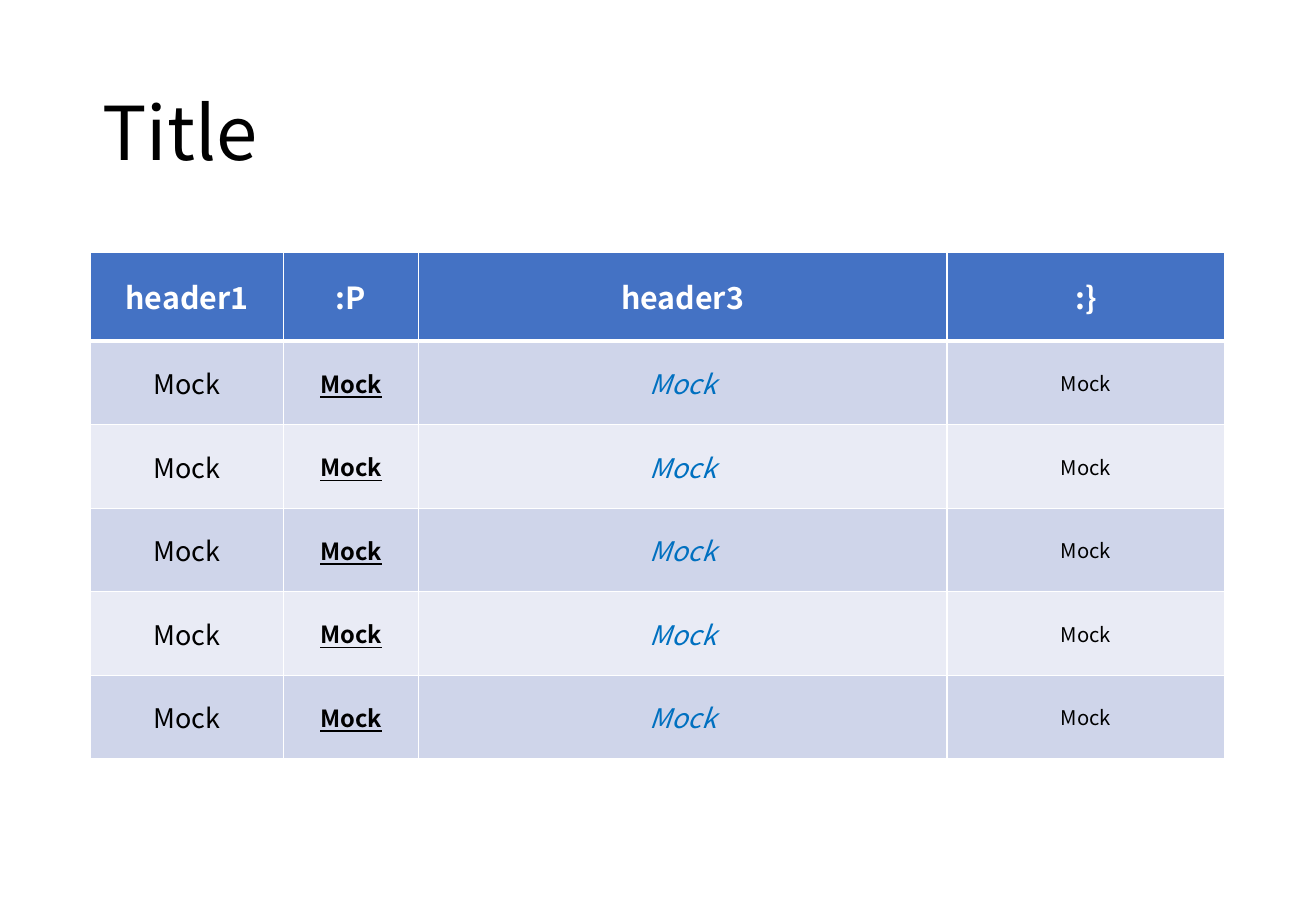
from lxml.etree import SubElement as Sub
from pptx import Presentation as Deck
from pptx.dml.color import RGBColor as Rgb
from pptx.enum.text import MSO_ANCHOR as Anchor, PP_ALIGN as Align
from pptx.oxml.ns import qn
from pptx.util import Pt

FACE = "Noto Sans CJK KR"
WIDTHS = [114.5, 79.9, 313.2, 164.9]
HEADS = ["header1", ":P", "header3", ":}"]
HEAD = {"size": Pt(18), "bold": True, "color": "FFFFFF"}
LOOKS = [
    {"size": Pt(16)},
    {"size": Pt(14), "bold": True, "underline": True},
    {"size": Pt(16), "italic": True, "color": "0070C0"},
    {"size": Pt(12)},
]
BANDS = ["CFD5EA", "E9EBF5"]
COUNT = 5


def paint(item, tint):
    """Give a font colour or a fill colour its hex value."""
    item.rgb = Rgb.from_string(tint)


def write(frame, text, look, align):
    """Put one styled line of text in a frame."""
    para = frame.paragraphs[0]
    para.alignment = align
    run = para.add_run()
    run.text = text
    base = {"name": FACE, "bold": False, "italic": False, "color": "000000"}
    for key, value in (base | look).items():
        if key == "color":
            paint(run.font.color, value)
        else:
            setattr(run.font, key, value)
    return para


def edge(cell, sides):
    """Draw white cell borders with the given widths in points."""
    props = cell._tc.get_or_add_tcPr()
    for side, width in sides.items():
        line = Sub(props, qn(f"a:ln{side}"), w=str(Pt(width)))
        fill = Sub(line, qn("a:solidFill"))
        Sub(fill, qn("a:srgbClr"), val="FFFFFF")


def title(slide, box, text):
    """Place the slide title in its box."""
    frame = slide.shapes.add_textbox(*map(Pt, box)).text_frame
    frame.word_wrap = True
    frame.vertical_anchor = Anchor.MIDDLE
    para = write(frame, text, {"size": Pt(44)}, Align.LEFT)
    para.line_spacing = 0.9


def grid(slide, box, top):
    """Place the table in its box, with a header row of height top."""
    shape = slide.shapes.add_table(COUNT + 1, len(HEADS), *map(Pt, box))
    table = shape.table
    for col, width in zip(table.columns, WIDTHS):
        col.width = Pt(width)
    for r, row in enumerate(table.rows):
        row.height = Pt(top if r == 0 else (box[3] - top) / COUNT)
        for c, cell in enumerate(row.cells):
            edge(cell, {"L": 1, "R": 1, "T": 3 if r == 1 else 1,
                        "B": 3 if r == 0 else 1})
            cell.fill.solid()
            paint(cell.fill.fore_color, BANDS[(r - 1) % 2] if r else "4472C4")
            cell.vertical_anchor = Anchor.MIDDLE
            text, look = ("Mock", LOOKS[c]) if r else (HEADS[c], HEAD)
            write(cell.text_frame, text, look, Align.CENTER)


def main():
    """Build and save the slide."""
    deck = Deck()
    deck.slide_width, deck.slide_height = Pt(780), Pt(540)
    slide = deck.slides.add_slide(deck.slide_layouts[6])
    title(slide, (53.6, 28.8, 672.5, 104.4), "Title")
    grid(slide, (53.6, 149.3, 672.5, 300.5), 53)
    deck.save("out.pptx")


if __name__ == "__main__":
    main()
